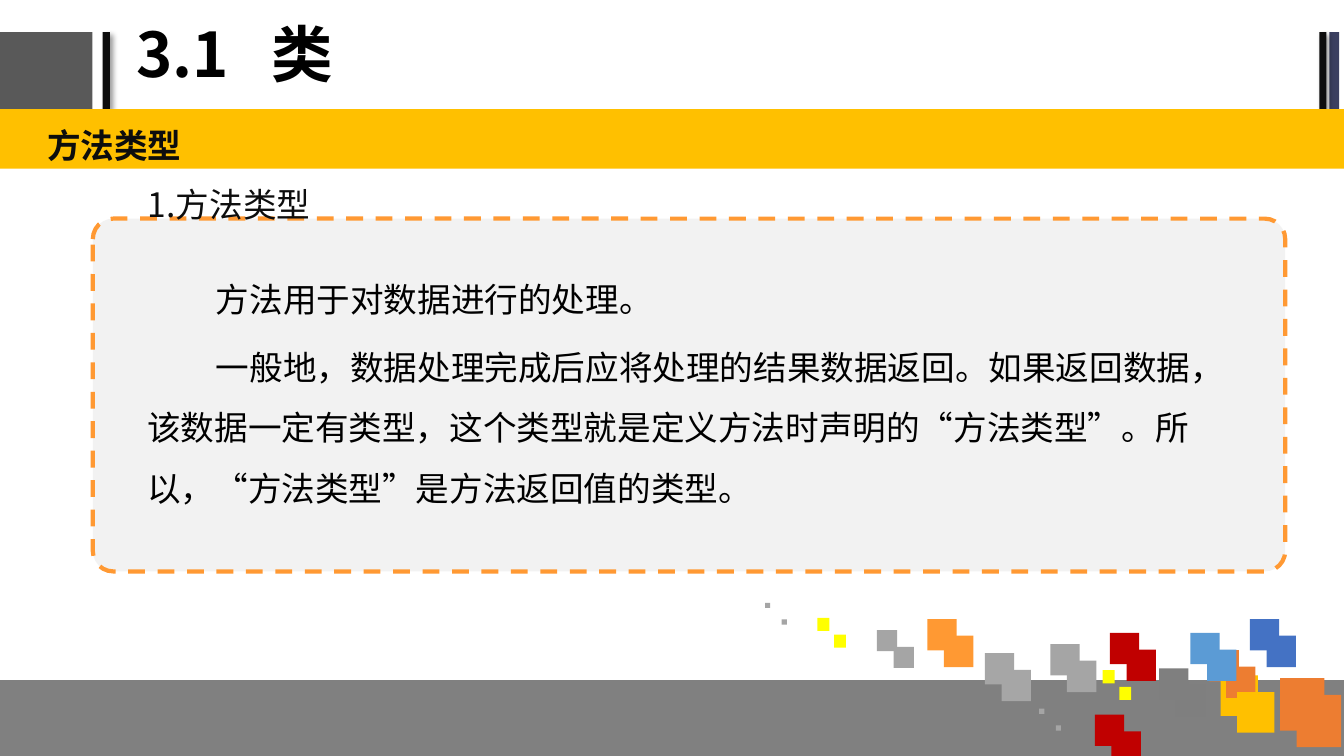
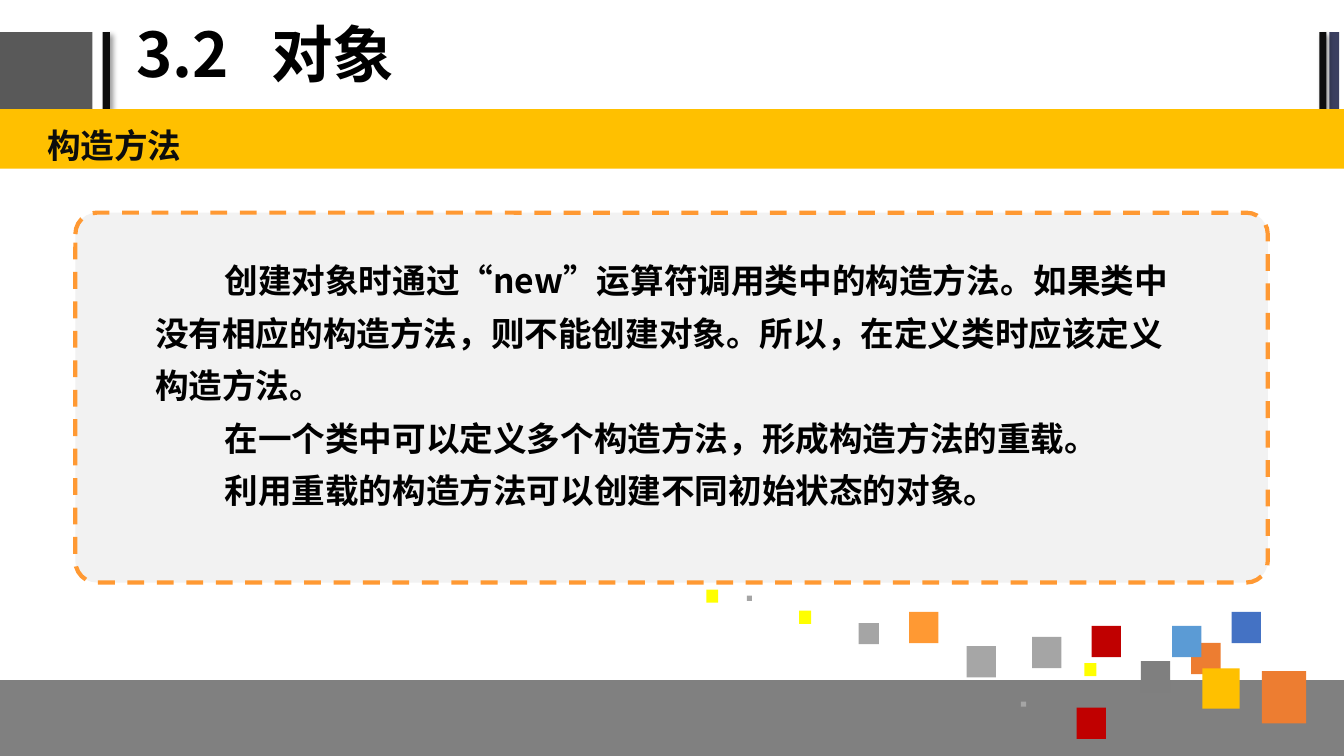
from lxml import etree
from pptx import Presentation
from pptx.dml.color import RGBColor
from pptx.enum.dml import MSO_LINE
from pptx.enum.shapes import MSO_SHAPE
from pptx.enum.text import MSO_ANCHOR, MSO_AUTO_SIZE, PP_ALIGN
from pptx.oxml.ns import qn
from pptx.util import Cm, Pt

RECT = MSO_SHAPE.RECTANGLE
ROUND = MSO_SHAPE.ROUNDED_RECTANGLE
DASH = MSO_LINE.DASH
TOP = MSO_ANCHOR.TOP
MIDDLE = MSO_ANCHOR.MIDDLE
LEFT = PP_ALIGN.LEFT
FIXED = MSO_AUTO_SIZE.NONE

BLACK = RGBColor(0x00, 0x00, 0x00)
INK = RGBColor(0x0D, 0x0D, 0x0D)
SLATE = RGBColor(0x59, 0x59, 0x59)
NAVY = RGBColor(0x3B, 0x3F, 0x60)
FLOOR = RGBColor(0x80, 0x80, 0x80)
GOLD = RGBColor(0xFF, 0xC0, 0x00)
PALE = RGBColor(0xF2, 0xF2, 0xF2)
AMBER = RGBColor(0xFF, 0x99, 0x33)
RUST = RGBColor(0xED, 0x7D, 0x31)
SKY = RGBColor(0x5B, 0x9B, 0xD5)
BLUE = RGBColor(0x44, 0x72, 0xC4)
GRAY = RGBColor(0xA5, 0xA5, 0xA5)
SILVER = RGBColor(0xA6, 0xA6, 0xA6)
STONE = RGBColor(0x7F, 0x7F, 0x7F)
YELLOW = RGBColor(0xFF, 0xFF, 0x00)
RED = RGBColor(0xC0, 0x00, 0x00)

FONT = "Noto Sans CJK SC"
SIZE = 24
WIDE, HIGH = 33.87, 19.05
BAND = (0, 2.75, WIDE, 1.5)

DOT, CHIP, SMALL = (0.13, 0.13), (0.3, 0.33), (0.51, 0.53)
TILE, LARGE, HUGE = (0.74, 0.79), (0.94, 1.02), (1.12, 1.32)
TILES = [
    (12.98, 1.9, HUGE, RUST), (11.2, 1.19, TILE, RUST),
    (11.48, 1.83, LARGE, GOLD), (10.72, 0.76, TILE, SKY),
    (6.91, 2.67, DOT, GRAY), (12.22, 0.41, TILE, BLUE),
    (8.51, 1.7, CHIP, YELLOW), (7.19, 1.04, TILE, GRAY),
    (8.69, 0.76, TILE, RED), (9.93, 1.65, TILE, STONE),
    (8.31, 2.82, TILE, RED), (0, 0, DOT, GRAY),
    (1.32, 0.38, CHIP, YELLOW), (2.82, 0.69, SMALL, GRAY),
    (4.09, 0.41, TILE, AMBER), (5.54, 1.27, TILE, SILVER),
]
SPARE = (-1.02, -0.15, CHIP, YELLOW)


def block(shapes, box, fill, kind=RECT):
    """Add a flat filled shape without outline."""
    shape = shapes.add_shape(kind, *map(Cm, box))
    shape.shadow.inherit = False
    shape.fill.solid()
    shape.fill.fore_color.rgb = fill
    shape.line.fill.background()
    return shape


def shade(shape):
    """Give a shape a soft shadow to the lower right."""
    effects = shape._element.spPr.find(qn("a:effectLst"))
    outer = etree.SubElement(effects, qn("a:outerShdw"), blurRad=str(Pt(4)),
                             dist=str(Pt(3)), dir="2700000", algn="tl")
    tint = etree.SubElement(outer, qn("a:srgbClr"), val="000000")
    etree.SubElement(tint, qn("a:alpha"), val="40000")


def style(para, size, color, bold):
    """Format every run of a paragraph for Latin and Chinese text."""
    for run in para.runs:
        font = run.font
        font.name, font.size, font.bold = FONT, Pt(size), bold
        font.color.rgb = color
        etree.SubElement(font._element, qn("a:ea"), typeface=FONT)


def write(shape, lines, color, bold, lead, indent=0, gap=0):
    """Fill a text shape with paragraphs of one style."""
    frame = shape.text_frame
    frame.word_wrap = True
    frame.auto_size = FIXED
    frame.vertical_anchor = TOP
    frame.margin_left = frame.margin_right = Cm(0.33)
    frame.margin_top = frame.margin_bottom = Cm(0.18)
    frame.text = "\n".join(lines)
    for i, para in enumerate(frame.paragraphs):
        props = para._p.get_or_add_pPr()
        props.set("marL", "0")
        props.set("indent", str(Cm(indent)))
        etree.SubElement(props, qn("a:buNone"))
        para.alignment = LEFT
        para.line_spacing = Pt(SIZE * 1.2 * lead)
        para.space_before = Pt(gap if i else 0)
        style(para, SIZE, color, bold)


def place(shape, box):
    """Move a shape to a box."""
    shape.left, shape.top, shape.width, shape.height = map(Cm, box)


def head(slide, number, name):
    """Place the title between its upright bars."""
    top, high = 0.81, 1.94
    block(slide.shapes, (0, top, 2.33, high), SLATE)
    shade(block(slide.shapes, (2.59, top, 0.18, high), INK))
    block(slide.shapes, (33.5, top, 0.25, high), NAVY)
    shade(block(slide.shapes, (33.25, top, 0.18, high), INK))
    title = slide.shapes.title
    place(title, (3.18, 0.05, 21.51, 2.79))
    frame = title.text_frame
    frame.text = f"{number}\t{name}"
    frame.vertical_anchor = MIDDLE
    frame.auto_size = FIXED
    para = frame.paragraphs[0]
    tabs = etree.SubElement(para._p.get_or_add_pPr(), qn("a:tabLst"))
    etree.SubElement(tabs, qn("a:tab"), pos=str(Cm(3.4)), algn="l")
    para.alignment = LEFT
    para.line_spacing = 0.9
    style(para, 44, BLACK, True)


def label(slide, box, text, bold):
    """Place a one-line heading."""
    write(slide.shapes.add_textbox(*map(Cm, box)), [text], INK, bold, 1.2)


def band(slide, box, text):
    """Place the gold band with its topic."""
    left, top, width, high = box
    block(slide.shapes, box, GOLD)
    label(slide, (left + 0.86, top + 0.02, width - 0.86, high - 0.03), text, True)


def panel(slide, box, inset, lines, **look):
    """Place the dashed panel with the body text inside it."""
    left, top, width, high = box
    near, over, far, under = inset
    frame = block(slide.shapes, box, PALE, ROUND)
    frame.adjustments[0] = 0.058
    frame.line.color.rgb = AMBER
    frame.line.width = Pt(3)
    frame.line.dash_style = DASH
    body = slide.placeholders[1]
    place(body, (left + near, top + over, width - near - far, high - over - under))
    frame._element.addnext(body._element)
    write(body, lines, BLACK, **look)


def tiles(slide, left, top, items=TILES):
    """Scatter the coloured squares from a corner point."""
    group = slide.shapes.add_group_shape()
    for x, y, size, fill in items:
        block(group.shapes, (left + x, top + y, *size), fill)


def start(deck, number, name):
    """Add a slide with its title and floor."""
    slide = deck.slides.add_slide(deck.slide_layouts[1])
    head(slide, number, name)
    block(slide.shapes, (0, 17.14, WIDE, 1.92), FLOOR)
    return slide


def method(deck):
    """Build the slide on method types."""
    slide = start(deck, "3.1", "类")
    tiles(slide, 19.28, 15.19)
    band(slide, BAND, "方法类型")
    panel(slide, (2.34, 5.51, 30.05, 8.89), (1.04, 0.84, 1.3, 0), [
        "方法用于对数据进行的处理。",
        "一般地，数据处理完成后应将处理的结果数据返回。如果返回数据，"
        "该数据一定有类型，这个类型就是定义方法时声明的“方法类型”。"
        "所以，“方法类型”是方法返回值的类型。",
    ], bold=False, lead=1.5, indent=1.73, gap=4.8)
    label(slide, (3.4, 4.24, 25.88, 1.47), "1.方法类型", False)
    tiles(slide, 19.7, 15.61)


def maker(deck):
    """Build the slide on constructors."""
    slide = start(deck, "3.2", "对象")
    band(slide, BAND, "构造方法")
    panel(slide, (1.9, 5.36, 30.05, 9.32), (1.68, 0.71, 1.9, 0.79), [
        "创建对象时通过“new”运算符调用类中的构造方法。如果类中没有相应的"
        "构造方法，则不能创建对象。所以，在定义类时应该定义构造方法。",
        "在一个类中可以定义多个构造方法，形成构造方法的重载。",
        "利用重载的构造方法可以创建不同初始状态的对象。",
    ], bold=True, lead=1.3, indent=1.75)
    tiles(slide, 18.82, 15.01, TILES + [SPARE])


def main():
    """Build and save the deck."""
    deck = Presentation()
    deck.slide_width, deck.slide_height = Cm(WIDE), Cm(HIGH)
    method(deck)
    maker(deck)
    deck.save("out.pptx")


if __name__ == "__main__":
    main()
